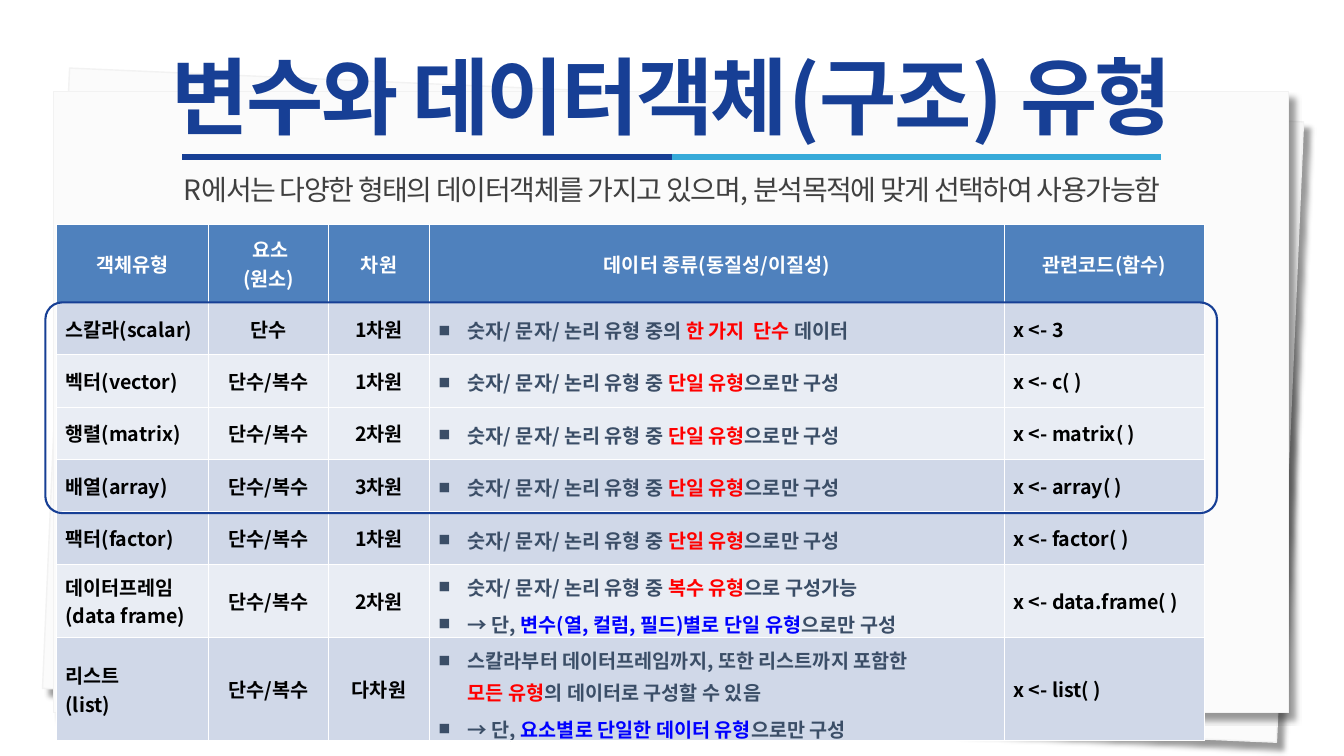
from pptx import Presentation
from pptx.dml.color import RGBColor
from pptx.enum.shapes import MSO_CONNECTOR as LINK, MSO_SHAPE as FORM
from pptx.enum.text import MSO_ANCHOR as ANCHOR, PP_ALIGN as ALIGN
from pptx.oxml import parse_xml
from pptx.oxml.ns import nsdecls
from pptx.util import Inches, Pt

FONT = "Noto Sans CJK KR"
NAVY, SKY, SLATE = "173F95", "36AAD9", "3B4E67"
RED, BLUE, BLACK, WHITE = "FF0000", "0000FF", "000000", "FFFFFF"
HEAD, DARK, LIGHT = "4F81BD", "D0D8E8", "E9EDF4"

TITLE = "변수와 데이터객체(구조) 유형"
LEAD = "R에서는 다양한 형태의 데이터객체를 가지고 있으며, 분석목적에 맞게 선택하여 사용가능함"
HEADS = ["객체유형", " 요소\n(원소)", "차원", "데이터 종류(동질성/이질성)", "관련코드(함수)"]
WIDTHS = [1.51, 1.19, 1, 5.7, 1.99]
HEIGHTS = [0.77] + [0.52] * 5 + [0.73, 1.02]

KINDS = "숫자/ 문자/ 논리 유형 중"
ONLY = ("으로만 구성", SLATE)
BUT = ("→ 단, ", SLATE)
SCALAR = [[(KINDS + "의 ", SLATE), ("한 가지  단수", RED), (" 데이터", SLATE)]]
SINGLE = [[(KINDS + " ", SLATE), ("단일 유형", RED), ONLY]]
FRAME = [
    [(KINDS + " ", SLATE), ("복수 유형", RED), ("으로 구성가능", SLATE)],
    [BUT, ("변수(열, 컬럼, 필드)별로 단일 유형", BLUE), ONLY],
]
LIST = [
    [("스칼라부터 데이터프레임까지, 또한 리스트까지 포함한 \n", SLATE),
     ("모든 유형", RED), ("의 데이터로 구성할 수 있음", SLATE)],
    [BUT, ("요소별로 단일한 데이터 유형", BLUE), ONLY],
]
BOTH = "단수/복수"
ROWS = [
    (DARK, ["스칼라(scalar)"], "단수", "1차원", SCALAR, "3"),
    (LIGHT, ["벡터(vector)"], BOTH, "1차원", SINGLE, "c( )"),
    (LIGHT, ["행렬(matrix)"], BOTH, "2차원", SINGLE, "matrix( )"),
    (DARK, ["배열(array)"], BOTH, "3차원", SINGLE, "array( )"),
    (DARK, ["팩터(factor)"], BOTH, "1차원", SINGLE, "factor( )"),
    (LIGHT, ["데이터프레임", "(data frame)"], BOTH, "2차원", FRAME, "data.frame( )"),
    (DARK, ["리스트", "(list)"], BOTH, "다차원", LIST, "list( )"),
]


def paint(color, code):
    """Set a fill's or font's solid colour from a hex string."""
    color.rgb = RGBColor.from_string(code)


def fill_in(item, code):
    item.fill.solid()
    paint(item.fill.fore_color, code)


def add_xml(parent, xml):
    """Append one drawing element, given as a tag with its content."""
    name, rest = xml[1:].split(">", 1)
    parent.append(parse_xml(f"<{name} {nsdecls('a')}>{rest}"))


def add_run(para, text, color, size, bold, gap=0):
    """Add text in one style; a newline becomes a line break."""
    for num, part in enumerate(text.split("\n")):
        if num:
            para.add_line_break()
        if not part:
            continue
        run = para.add_run()
        run.text = part
        font = run.font
        font.name, font.size, font.bold = FONT, Pt(size), bold
        paint(font.color, color)
        props = run._r.get_or_add_rPr()
        add_xml(props, f"<a:ea>{''}</a:ea>")
        props[-1].set("typeface", FONT)
        if gap:
            props.set("spc", str(gap))


def add_label(slide, text, top, height, size, color, bold, gap):
    """Add one centred line across the whole slide."""
    box = slide.shapes.add_textbox(0, Inches(top), Inches(13.33), Inches(height))
    frame = box.text_frame
    frame.word_wrap = True
    frame.vertical_anchor = ANCHOR.MIDDLE
    frame.margin_left = frame.margin_right = 0
    frame.margin_top = frame.margin_bottom = 0
    para = frame.paragraphs[0]
    para.alignment = ALIGN.CENTER
    para.line_spacing = 0.9
    add_run(para, text, color, size, bold, gap)


def add_paper(slide, left, top, turn):
    """Add a sheet of paper with a soft shadow."""
    sheet = slide.shapes.add_shape(
        FORM.RECTANGLE, Inches(left), Inches(top), Inches(12.25), Inches(6.16))
    sheet.rotation = turn
    fill_in(sheet, "FBFBFB")
    paint(sheet.line.color, "F2F2F2")
    sheet.line.width = Pt(1)
    add_xml(sheet._element.spPr,
            '<a:effectLst><a:outerShdw blurRad="50800" dist="88900" dir="2700000" '
            'algn="tl" rotWithShape="0"><a:srgbClr val="000000">'
            '<a:alpha val="40000"/></a:srgbClr></a:outerShdw></a:effectLst>')


def add_rule(slide, start, end, color):
    rule = slide.shapes.add_connector(
        LINK.STRAIGHT, Inches(start), Inches(1.56), Inches(end), Inches(1.56))
    paint(rule.line.color, color)
    rule.line.width = Pt(4.5)
    add_xml(rule._element.spPr, "<a:effectLst></a:effectLst>")


def add_bullet(para):
    para.line_spacing = 1.1
    para.space_before = para.space_after = Pt(2)
    props = para._p.get_or_add_pPr()
    props.set("marL", str(Inches(0.29)))
    props.set("indent", str(Inches(-0.29)))
    props.append(parse_xml(f'<a:buSzPct {nsdecls("a")} val="60000"/>'))
    props.append(parse_xml(f'<a:buFont {nsdecls("a")} typeface="{FONT}"/>'))
    props.append(parse_xml(f'<a:buChar {nsdecls("a")} char="■"/>'))


def fill_cell(cell, lines, fill, center=False, bullet=False):
    """Write lines, each a list of (text, colour) runs, into a cell."""
    fill_in(cell, fill)
    cell.vertical_anchor = ANCHOR.MIDDLE
    cell.margin_left = cell.margin_right = Inches(0.09)
    frame = cell.text_frame
    for num, runs in enumerate(lines):
        para = frame.add_paragraph() if num else frame.paragraphs[0]
        para.alignment = ALIGN.CENTER if center else ALIGN.LEFT
        if bullet:
            add_bullet(para)
        for text, color in runs:
            add_run(para, text, color, 14, True)


def add_grid(slide):
    """Add the table of object types."""
    grid = slide.shapes.add_table(
        len(HEIGHTS), len(WIDTHS), Inches(0.56), Inches(2.23),
        Inches(sum(WIDTHS)), Inches(sum(HEIGHTS))).table
    for col, width in zip(grid.columns, WIDTHS):
        col.width = Inches(width)
    for row, height in zip(grid.rows, HEIGHTS):
        row.height = Inches(height)
    for cell, text in zip(grid.rows[0].cells, HEADS):
        fill_cell(cell, [[(text, WHITE)]], HEAD, center=True)
    for num, (fill, names, count, dim, kinds, code) in enumerate(ROWS, 1):
        cells = list(grid.rows[num].cells)
        fill_cell(cells[0], [[(name, BLACK)] for name in names], fill)
        fill_cell(cells[1], [[(count, BLACK)]], fill, center=True)
        fill_cell(cells[2], [[(dim, BLACK)]], fill, center=True)
        fill_cell(cells[3], kinds, fill, bullet=True)
        fill_cell(cells[4], [[("x <- " + code, BLACK)]], fill)


def add_outline(slide):
    """Add the rounded outline around the first four types."""
    ring = slide.shapes.add_shape(
        FORM.ROUNDED_RECTANGLE, Inches(0.45), Inches(3), Inches(11.62), Inches(2.09))
    ring.adjustments[0] = 0.08
    ring.shadow.inherit = False
    ring.fill.background()
    paint(ring.line.color, NAVY)
    ring.line.width = Pt(1.5)


def main():
    deck = Presentation()
    deck.slide_width, deck.slide_height = Inches(13.33), Inches(7.5)
    slide = deck.slides.add_slide(deck.slide_layouts[6])
    add_paper(slide, 0.55, 0.94, 2.5)
    add_paper(slide, 0.53, 0.91, 0)
    add_rule(slide, 1.81, 6.67, NAVY)
    add_rule(slide, 6.67, 11.52, SKY)
    add_label(slide, TITLE, 0.56, 0.9, 60, NAVY, True, -190)
    add_label(slide, LEAD, 1.71, 0.37, 20, "404040", False, -100)
    add_grid(slide)
    add_outline(slide)
    deck.save("out.pptx")


if __name__ == "__main__":
    main()
